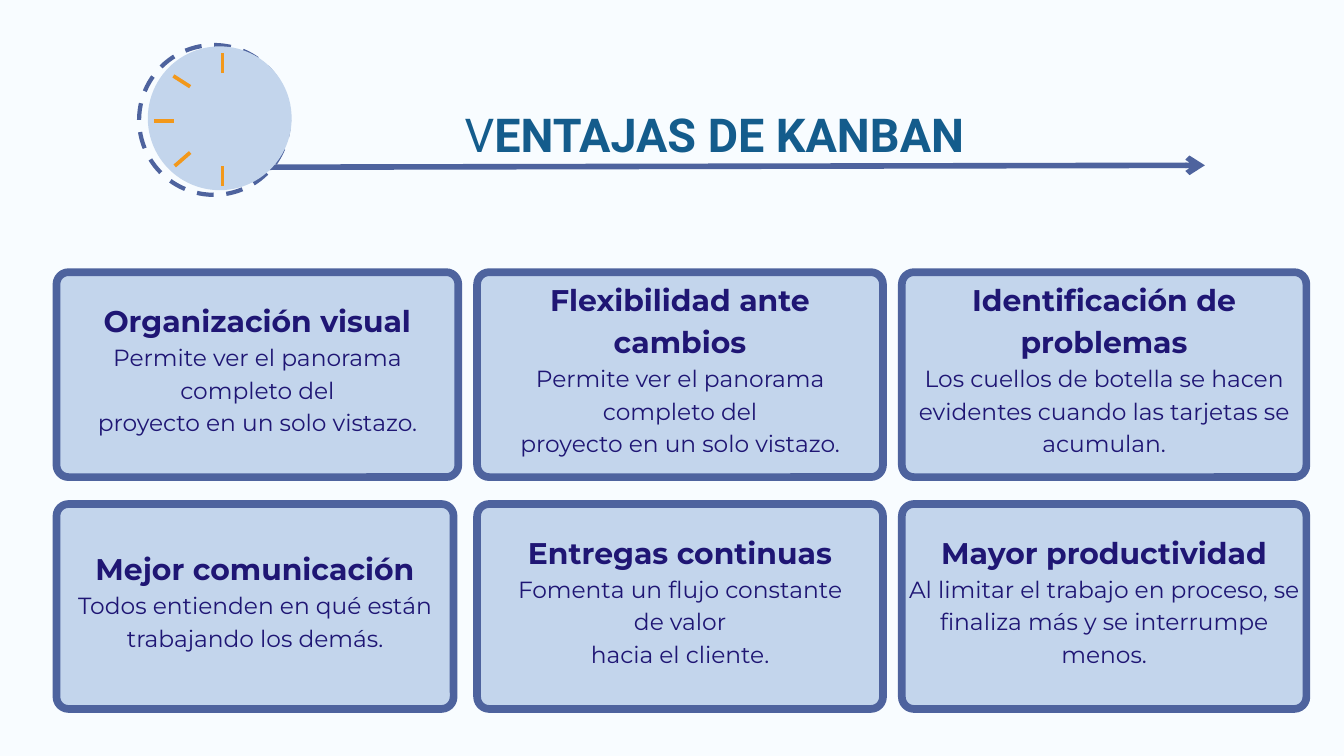
from dataclasses import dataclass

from lxml import etree
from pptx import Presentation
from pptx import util as u
from pptx.dml.color import RGBColor
from pptx.enum import dml, shapes, text
from pptx.oxml.ns import qn

PX = 9144


@dataclass(frozen=True)
class Theme:
    """Colours, fonts, type sizes and line widths of the slide."""
    background: str = "F8FCFF"
    card: str = "C3D5EC"
    border: str = "4E639E"
    tick: str = "F2981B"
    title: str = "145C8C"
    ink: str = "1F1674"
    title_font: str = "Roboto"
    card_font: str = "Montserrat"
    title_size: int = 50
    heading_size: int = 32
    body_size: int = 25
    leading: float = 1.4
    border_width: float = 8.25
    ring_width: float = 4.5
    arrow_width: float = 6
    tick_width: float = 4


THEME = Theme()

TICKS = [
    (331, 109, 331, 79),
    (331, 277, 331, 247),
    (229, 180, 259, 180),
    (258, 113, 283, 129),
    (260, 247, 283, 227),
]
COLUMN_LEFTS = (84, 710, 1342)
COLUMN_WIDTHS = (598, 604, 602)
ROW_TOPS = (405, 750)
CARD_HEIGHT = 305
CARD_RADIUS = 18
TEXT_RISE = 24
NARROW_CARD_WIDTH = 591

ADVANTAGES = [
    [
        ("Organización visual",
         ["Permite ver el panorama completo del", "proyecto en un solo vistazo."]),
        ("Flexibilidad ante cambios",
         ["Permite ver el panorama completo del", "proyecto en un solo vistazo."]),
        ("Identificación de problemas",
         ["Los cuellos de botella se hacen", "evidentes cuando las tarjetas se", "acumulan."]),
    ],
    [
        ("Mejor comunicación",
         ["Todos entienden en qué están trabajando los demás."]),
        ("Entregas continuas",
         ["Fomenta un flujo constante", "de valor", "hacia el cliente."]),
        ("Mayor productividad",
         ["Al limitar el trabajo en proceso, se finaliza más y se interrumpe menos."]),
    ],
]


def px(*lengths):
    """Turn whole pixels into EMU."""
    return [u.Emu(length * PX) for length in lengths]


def rgb(value):
    """Turn a hex string into a colour."""
    return RGBColor.from_string(value)


def add_shape(slide, kind, box, fill=None, line=None, width=0, dash=None):
    """Add a preset shape with the given fill and outline."""
    shape = slide.shapes.add_shape(kind, *px(*box))
    shape.shadow.inherit = False
    if fill:
        shape.fill.solid()
        shape.fill.fore_color.rgb = rgb(fill)
    else:
        shape.fill.background()
    if line:
        shape.line.color.rgb = rgb(line)
        shape.line.width = u.Pt(width)
        shape.line.dash_style = dash
    else:
        shape.line.fill.background()
    return shape


def add_line(slide, ends, color, width, arrow=False):
    """Add a straight line, with an arrowhead at its end if asked."""
    line = slide.shapes.add_connector(shapes.MSO_CONNECTOR.STRAIGHT, *px(*ends))
    line.line.color.rgb = rgb(color)
    line.line.width = u.Pt(width)
    if arrow:
        etree.SubElement(line.line._get_or_add_ln(), qn("a:tailEnd"), type="arrow")
    etree.SubElement(line._element.spPr, qn("a:effectLst"))


def add_text(slide, box, paragraphs, *, font, color, inset=0,
             anchor=text.MSO_ANCHOR.TOP, fit=text.MSO_AUTO_SIZE.NONE):
    """Add centred paragraphs, each a size and a list of (wording, bold) runs."""
    frame = slide.shapes.add_textbox(*px(*box)).text_frame
    frame.word_wrap = True
    frame.auto_size = fit
    frame.vertical_anchor = anchor
    frame.margin_left, frame.margin_top, frame.margin_right, frame.margin_bottom = px(*[inset] * 4)
    for index, (size, runs) in enumerate(paragraphs):
        paragraph = frame.add_paragraph() if index else frame.paragraphs[0]
        paragraph.alignment = text.PP_ALIGN.CENTER
        paragraph.line_spacing = u.Pt(round(size * THEME.leading, 1))
        for wording, bold in runs:
            run = paragraph.add_run()
            run.text = wording
            run.font.name = font
            run.font.size = u.Pt(size)
            run.font.bold = bold
            run.font.color.rgb = rgb(color)


def add_clock(slide):
    """Add the dashed ring, the clock face and its ticks."""
    oval = shapes.MSO_SHAPE.OVAL
    add_shape(slide, oval, (207, 67, 223, 223), line=THEME.border,
              width=THEME.ring_width, dash=dml.MSO_LINE.DASH)
    add_shape(slide, oval, (220, 69, 214, 214), fill=THEME.card)
    for ends in TICKS:
        add_line(slide, ends, THEME.tick, THEME.tick_width)


def add_card(slide, left, top, width, heading, body):
    """Add a rounded card with a heading and its explanation."""
    card = add_shape(slide, shapes.MSO_SHAPE.ROUNDED_RECTANGLE,
                     (left, top, width, CARD_HEIGHT), fill=THEME.card,
                     line=THEME.border, width=THEME.border_width)
    card.adjustments[0] = CARD_RADIUS / CARD_HEIGHT
    paragraphs = [(THEME.heading_size, [(heading, True)])]
    paragraphs += [(THEME.body_size, [(sentence, False)]) for sentence in body]
    add_text(slide, (left, top - TEXT_RISE, width, CARD_HEIGHT + TEXT_RISE), paragraphs,
             font=THEME.card_font, color=THEME.ink, inset=6, anchor=text.MSO_ANCHOR.MIDDLE)


def main():
    """Build the slide and save it."""
    deck = Presentation()
    deck.slide_width, deck.slide_height = px(2000, 1125)
    slide = deck.slides.add_slide(deck.slide_layouts[6])
    slide.background.fill.solid()
    slide.background.fill.fore_color.rgb = rgb(THEME.background)

    add_line(slide, (319, 249, 1793, 246), THEME.border, THEME.arrow_width, arrow=True)
    add_clock(slide)
    add_text(slide, (442, 144, 1243, 94),
             [(THEME.title_size, [("V", False), ("ENTAJAS DE KANBAN", True)])],
             font=THEME.title_font, color=THEME.title,
             fit=text.MSO_AUTO_SIZE.SHAPE_TO_FIT_TEXT)

    for top, row in zip(ROW_TOPS, ADVANTAGES):
        for left, width, (heading, body) in zip(COLUMN_LEFTS, COLUMN_WIDTHS, row):
            if heading == "Mejor comunicación":
                width = NARROW_CARD_WIDTH
            add_card(slide, left, top, width, heading, body)

    deck.save("out.pptx")


if __name__ == "__main__":
    main()
